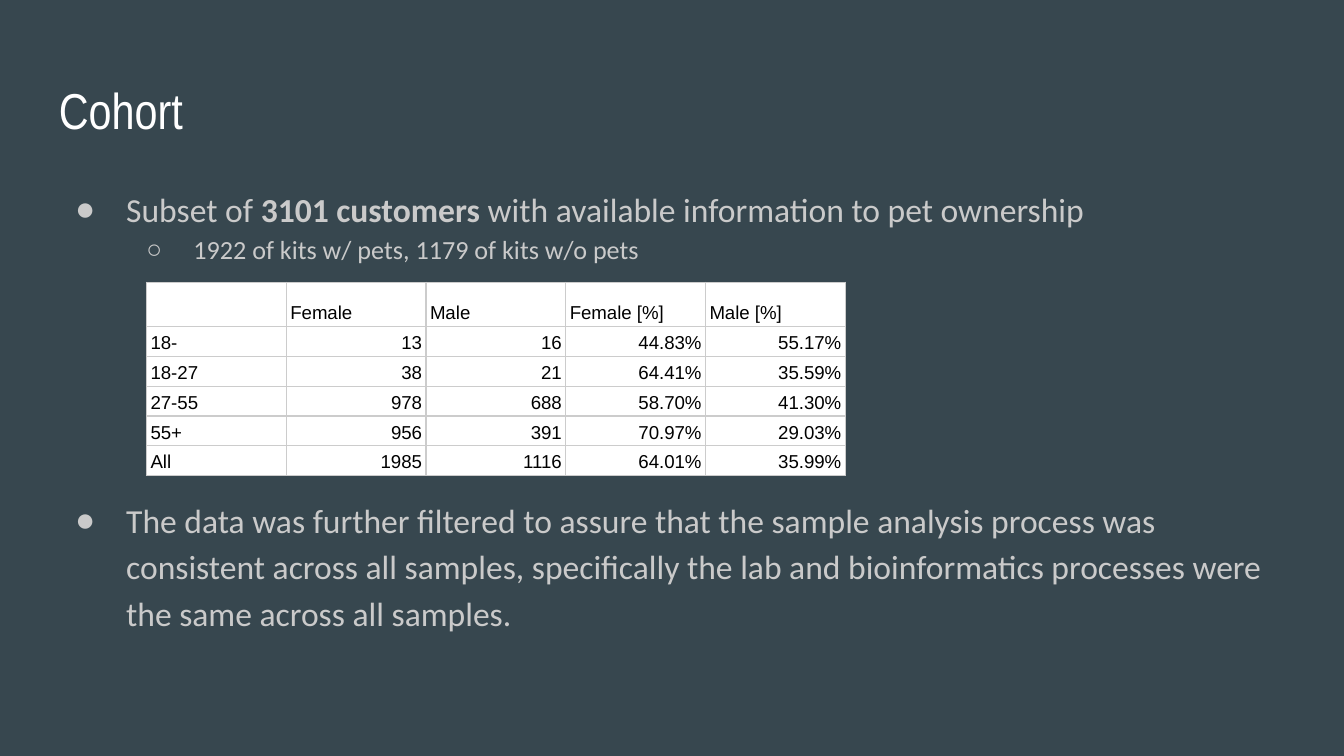
"""Build the Cohort slide with its bullets and age-by-sex table."""
import dataclasses

import lxml.etree
import pptx
import pptx.dml.color
import pptx.enum.text
import pptx.oxml.ns
import pptx.util

Inches = pptx.util.Inches
Pt = pptx.util.Pt


@dataclasses.dataclass(frozen=True)
class Theme:
    background: str = "37474F"
    title: str = "FFFFFF"
    body: str = "CACACA"
    cell: str = "FFFFFF"
    cell_text: str = "000000"
    border: str = "CCCCCC"
    title_size: int = 27
    bullet_size: int = 18
    detail_size: int = 14
    cell_size: int = 10


theme = Theme()


def add_run(paragraph, text, font, size, color, bold=False):
    run = paragraph.add_run()
    run.text = text
    run.font.name = font
    run.font.size = Pt(size)
    run.font.bold = bold
    run.font.color.rgb = pptx.dml.color.RGBColor.from_string(color)


def add_element(parent, tag, **attributes):
    return lxml.etree.SubElement(parent, pptx.oxml.ns.qn(tag), attributes)


presentation = pptx.Presentation()
presentation.slide_width = Inches(10)
presentation.slide_height = Inches(10) * 9 // 16
slide = presentation.slides.add_slide(presentation.slide_layouts[6])
slide.background.fill.solid()
slide.background.fill.fore_color.rgb = pptx.dml.color.RGBColor.from_string(theme.background)

frames = []
for top, height in [(0.49, 0.63), (1.26, 3.74)]:
    text_box = slide.shapes.add_textbox(Inches(0.34), Inches(top), Inches(9.32), Inches(height))
    frame = text_box.text_frame
    frame.word_wrap = True
    frame.margin_left = frame.margin_right = Inches(0.1)
    frame.margin_top = frame.margin_bottom = Inches(0.1)
    frames.append(frame)
title_frame, body_frame = frames

add_run(title_frame.paragraphs[0], "Cohort", "Arial Narrow", theme.title_size, theme.title)

bullets = [
    (0, "●", 0.5, -0.38, 0, theme.bullet_size, [
        ("Subset of ", False),
        ("3101 customers", True),
        (" with available information to pet ownership", False),
    ]),
    (1, "○", 1, -0.35, 0, theme.detail_size, [
        ("1922 of kits w/ pets, 1179 of kits w/o pets", False),
    ]),
    (0, "●", 0.5, -0.38, 122.5, theme.bullet_size, [
        ("The data was further filtered to assure that the sample analysis process was "
         "consistent across all samples, specifically the lab and bioinformatics processes "
         "were the same across all samples.", False),
    ]),
]
for index, (level, symbol, margin, indent, space_before, size, runs) in enumerate(bullets):
    paragraph = body_frame.add_paragraph() if index else body_frame.paragraphs[0]
    paragraph.level = level
    paragraph.line_spacing = 1.15
    paragraph.space_before = Pt(space_before)
    properties = paragraph._p.get_or_add_pPr()
    properties.set("marL", str(Inches(margin)))
    properties.set("indent", str(Inches(indent)))
    bullet_color = add_element(properties, "a:buClr")
    add_element(bullet_color, "a:srgbClr", val=theme.body)
    add_element(properties, "a:buFont", typeface="Arial")
    add_element(properties, "a:buChar", char=symbol)
    for text, bold in runs:
        add_run(paragraph, text, "Calibri", size, theme.body, bold)

cohort_rows = [
    ["", "Female", "Male", "Female [%]", "Male [%]"],
    ["18-", "13", "16", "44.83%", "55.17%"],
    ["18-27", "38", "21", "64.41%", "35.59%"],
    ["27-55", "978", "688", "58.70%", "41.30%"],
    ["55+", "956", "391", "70.97%", "29.03%"],
    ["All", "1985", "1116", "64.01%", "35.99%"],
]
row_heights = [0.32] + [0.22] * 5
column_width = 1.04
table = slide.shapes.add_table(
    len(cohort_rows), len(cohort_rows[0]), Inches(1.09), Inches(2.1),
    Inches(column_width * 5), Inches(sum(row_heights)),
).table
for column in table.columns:
    column.width = Inches(column_width)
for row, height in zip(table.rows, row_heights):
    row.height = Inches(height)

for row_index, values in enumerate(cohort_rows):
    for column_index, value in enumerate(values):
        cell = table.cell(row_index, column_index)
        cell.margin_left = cell.margin_right = Inches(0.03)
        cell.margin_top = Inches(0.01)
        cell.margin_bottom = Inches(0.02)
        cell.vertical_anchor = pptx.enum.text.MSO_ANCHOR.BOTTOM
        for side in ("a:lnL", "a:lnR", "a:lnT", "a:lnB"):
            border = add_element(cell._tc.get_or_add_tcPr(), side, w=str(Pt(0.75)))
            border_fill = add_element(border, "a:solidFill")
            add_element(border_fill, "a:srgbClr", val=theme.border)
        cell.fill.solid()
        cell.fill.fore_color.rgb = pptx.dml.color.RGBColor.from_string(theme.cell)
        if not value:
            continue
        paragraph = cell.text_frame.paragraphs[0]
        paragraph.line_spacing = 1.15
        if row_index and column_index:
            paragraph.alignment = pptx.enum.text.PP_ALIGN.RIGHT
        add_run(paragraph, value, "Arial", theme.cell_size, theme.cell_text)

presentation.save("out.pptx")
